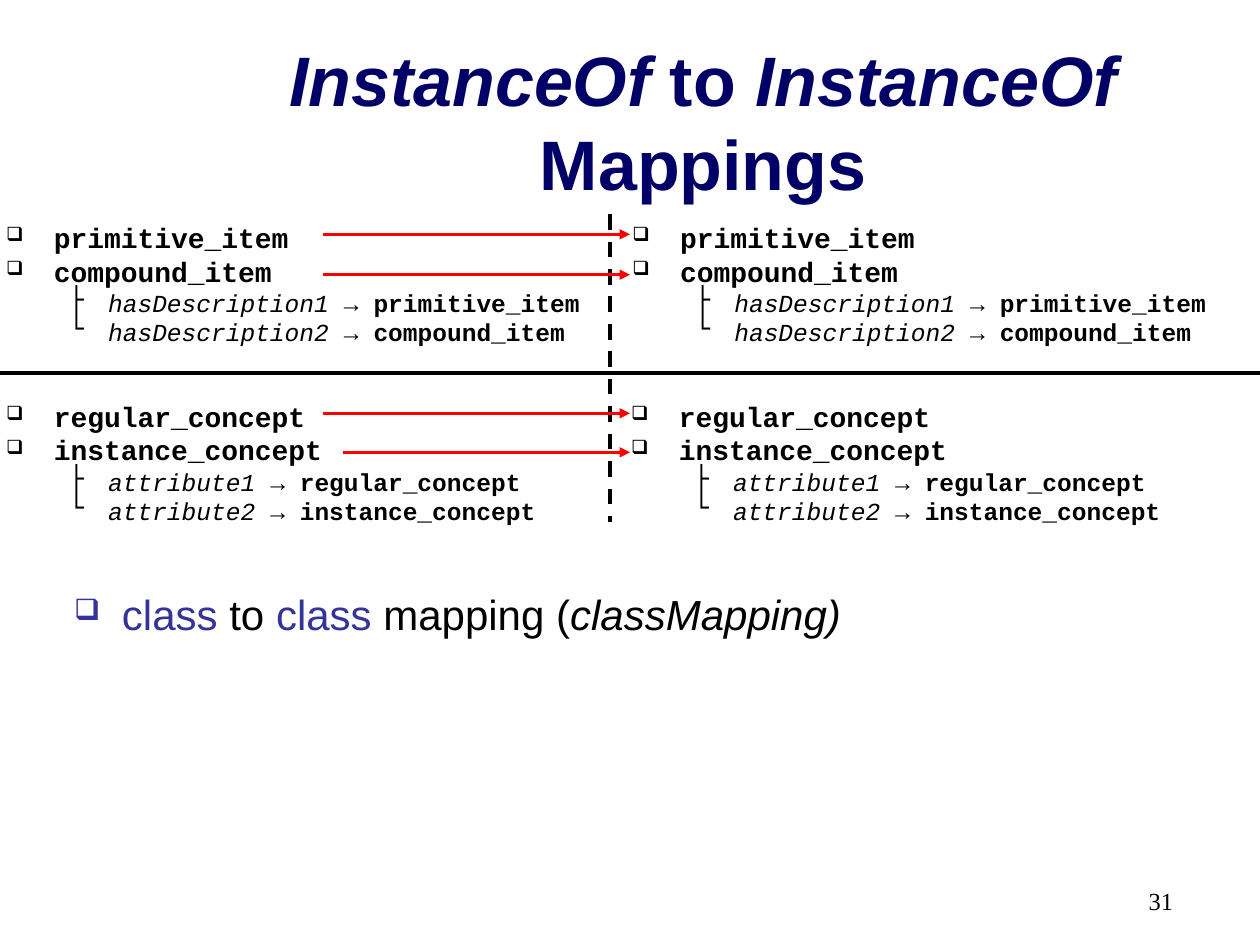
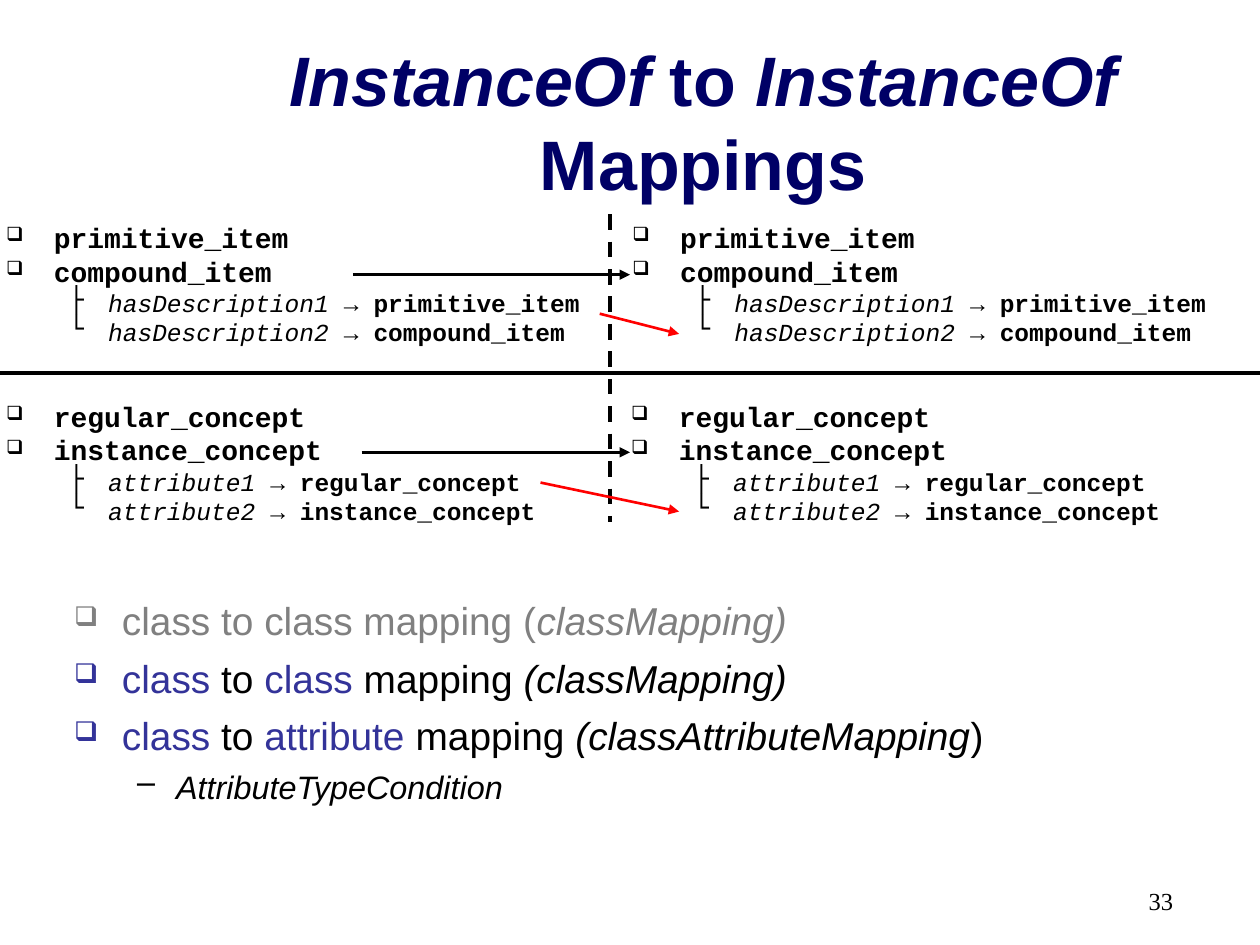
"""Two slides on mapping instances to instances between two ontologies."""
from lxml.etree import SubElement
from pptx import Presentation
from pptx.dml.color import RGBColor
from pptx.enum.dml import MSO_LINE
from pptx.enum.shapes import MSO_CONNECTOR
from pptx.enum.text import MSO_ANCHOR, PP_ALIGN
from pptx.oxml.ns import qn
from pptx.util import Inches, Pt

BLACK, NAVY, BLUE, GRAY, RED = "000000", "000066", "333399", "808080", "FF0000"
ITEM, CHILD = (0.38, -0.38), (0.81, -0.31)


def write_text(page, place, font, paragraphs, align=PP_ALIGN.LEFT,
               anchor=MSO_ANCHOR.TOP, line_spacing=None):
    """Add a text box; a paragraph is (bullet, size, space before, spans)."""
    box = page.shapes.add_textbox(*[Inches(value) for value in place])
    frame = box.text_frame
    frame.word_wrap = True
    frame.vertical_anchor = anchor
    for index, (bullet, size, gap, spans) in enumerate(paragraphs):
        para = frame.add_paragraph() if index else frame.paragraphs[0]
        if bullet:
            properties = para._p.get_or_add_pPr()
            margin, indent = ITEM if bullet == "❑" else CHILD
            properties.set("marL", str(Inches(margin)))
            properties.set("indent", str(Inches(indent)))
            color = SubElement(properties, qn("a:buClr"))
            SubElement(color, qn("a:srgbClr"), val=spans[0][1])
            percent = "70000" if bullet == "❑" else "100000"
            SubElement(properties, qn("a:buSzPct"), val=percent)
            SubElement(properties, qn("a:buChar"), char=bullet)
            para.level = 0 if bullet == "❑" else 1
        para.alignment = align
        if line_spacing:
            para.line_spacing = line_spacing
        if index:
            para.space_before = Pt(gap)
        for text, color, style in spans:
            span = para.add_run()
            span.text = text
            span.font.name = font
            span.font.size = Pt(size)
            span.font.bold = "b" in style
            span.font.italic = "i" in style
            span.font.color.rgb = RGBColor.from_string(color)


def draw_line(page, ends, color, width, arrow=False, dashed=False):
    """Draw a straight line between two points."""
    line = page.shapes.add_connector(
        MSO_CONNECTOR.STRAIGHT, *[Inches(value) for value in ends])
    line.line.color.rgb = RGBColor.from_string(color)
    line.line.width = Pt(width)
    if dashed:
        line.line.dash_style = MSO_LINE.DASH
    if arrow:
        SubElement(line.line._get_or_add_ln(), qn("a:tailEnd"), type="triangle")
    SubElement(line._element.spPr, qn("a:effectLst"))


title = [("InstanceOf", NAVY, "bi"), (" to ", NAVY, "b"),
         ("InstanceOf", NAVY, "bi"), (" Mappings", NAVY, "b")]

class_groups = [
    (1.75, 4.92, "hasDescription", ["primitive_item", "compound_item"]),
    (3.17, 4.91, "attribute", ["regular_concept", "instance_concept"]),
]

pages = [
    {
        "number": "31",
        "notes_top": 4.62,
        "notes": [
            ("❑", 24, 6, [("class ", BLUE, ""), ("to ", BLACK, ""),
                          ("class ", BLUE, ""), ("mapping (", BLACK, ""),
                          ("classMapping)", BLACK, "i")]),
        ],
        "arrows": [
            (RED, (2.56, 1.86, 5, 1.86)),
            (RED, (2.56, 2.18, 5, 2.18)),
            (RED, (2.56, 3.28, 5, 3.28)),
            (RED, (2.72, 3.59, 5, 3.59)),
        ],
    },
    {
        "number": "33",
        "notes_top": 4.69,
        "notes": [
            ("❑", 22.2, 6, [("class to class mapping (", GRAY, ""),
                            ("classMapping)", GRAY, "i")]),
            ("❑", 22.2, 6, [("class", BLUE, ""), (" to ", BLACK, ""),
                            ("class", BLUE, ""), (" mapping ", BLACK, ""),
                            ("(classMapping)", BLACK, "i")]),
            ("❑", 22.2, 6, [("class", BLUE, ""), (" to ", BLACK, ""),
                            ("attribute", BLUE, ""), (" mapping ", BLACK, ""),
                            ("(classAttributeMapping", BLACK, "i"),
                            (")", BLACK, "")]),
            ("–", 18.5, 5, [("AttributeTypeCondition", BLACK, "i")]),
        ],
        "arrows": [
            (RED, (4.76, 2.49, 5.39, 2.65)),
            (RED, (4.29, 3.83, 5.39, 4.06)),
            (BLACK, (2.8, 2.18, 5, 2.18)),
            (BLACK, (2.87, 3.59, 5, 3.59)),
        ],
    },
]

deck = Presentation()
deck.slide_width = Inches(10)
deck.slide_height = Inches(7.5)

for content in pages:
    page = deck.slides.add_slide(deck.slide_layouts[6])
    write_text(page, (1.58, 0.33, 8, 1.25), "Arial", [(None, 40, 0, title)],
               PP_ALIGN.CENTER, MSO_ANCHOR.MIDDLE)

    for top, right_column, attribute, classes in class_groups:
        tree = [("❑", 16, 4, [(name, BLACK, "b")]) for name in classes]
        for number, (branch, name) in enumerate(zip("├└", classes), 1):
            tree.append((branch, 14, 3.5, [(f"{attribute}{number}", BLACK, "i"),
                                           (" → ", BLACK, ""),
                                           (name, BLACK, "b")]))
        for left in (-0.05, right_column):
            write_text(page, (left, top, 4.89, 1.06), "Courier New", tree,
                       line_spacing=0.8)

    draw_line(page, (0, 2.96, 10, 2.96), BLACK, 2.25)
    draw_line(page, (4.84, 1.7, 4.84, 4.14), BLACK, 2.25, dashed=True)
    write_text(page, (0.49, content["notes_top"], 9, 1.73), "Arial",
               content["notes"])
    for color, ends in content["arrows"]:
        draw_line(page, ends, color, 1.5, arrow=True)
    write_text(page, (7.08, 6.98, 2.33, 0.52), "Times New Roman",
               [(None, 14, 0, [(content["number"], BLACK, "")])],
               PP_ALIGN.RIGHT)

deck.save("out.pptx")
